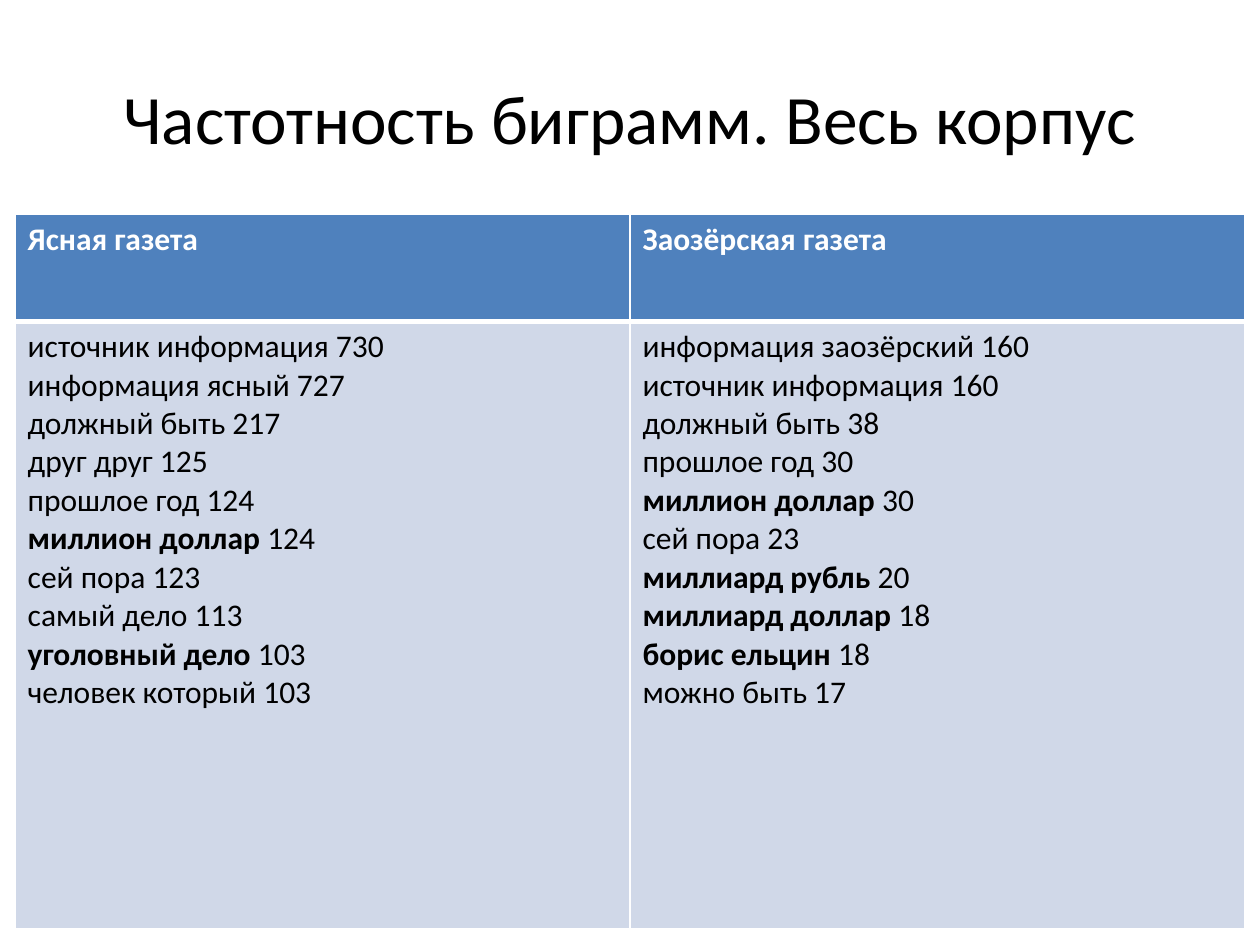
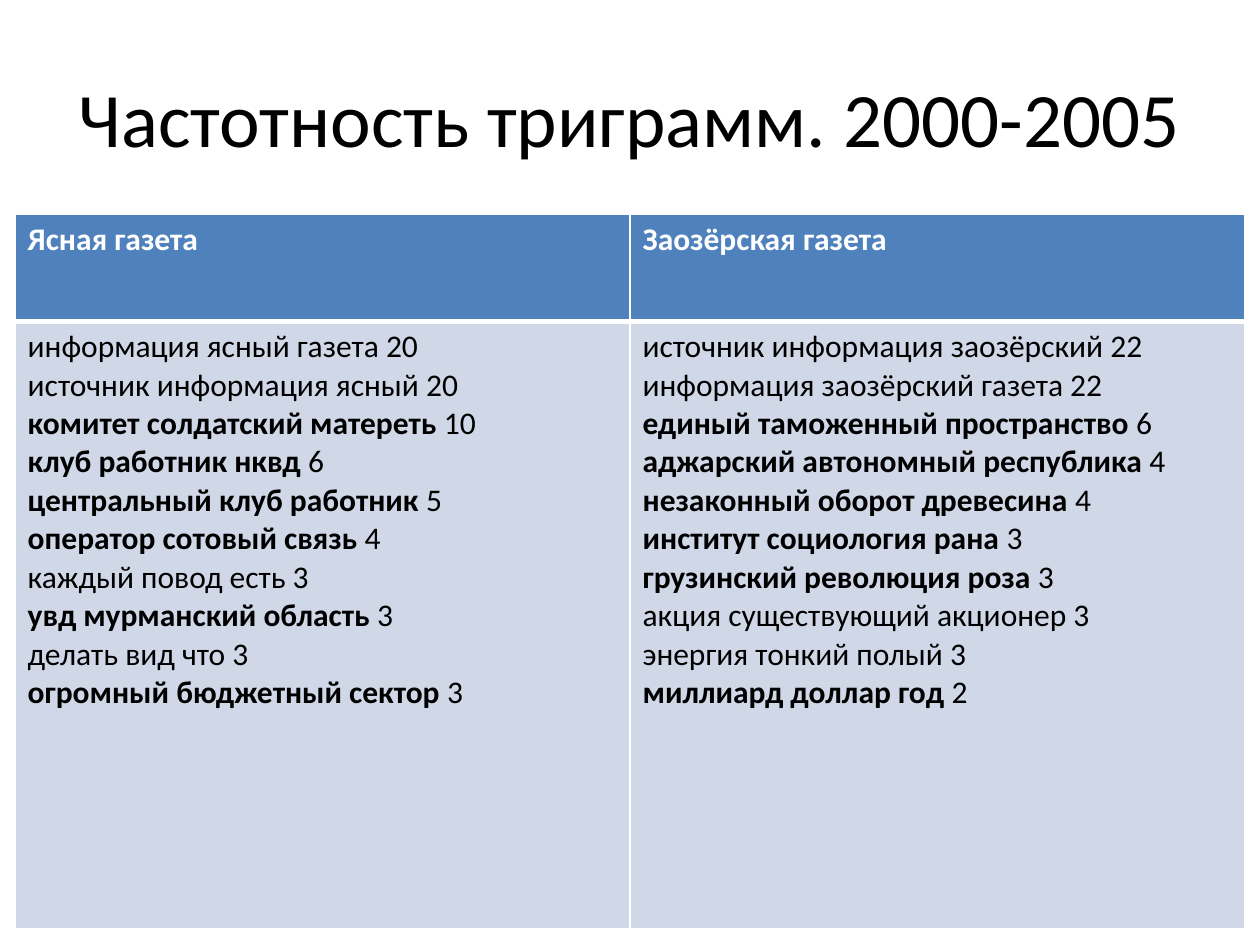
from dataclasses import dataclass

from lxml.etree import SubElement
from pptx import Presentation
from pptx.dml.color import RGBColor
from pptx.enum.text import MSO_ANCHOR, PP_ALIGN
from pptx.oxml.ns import qn
from pptx.util import Inches, Pt


@dataclass(frozen=True)
class Theme:
    font: str = "Calibri"
    ink: str = "000000"
    paper: str = "FFFFFF"
    header: str = "4F81BD"
    body: str = "D0D8E8"
    cell_size: float = 18
    rule: float = 1
    header_rule: float = 3


T = Theme()
HEADINGS = ["Ясная газета", "Заозёрская газета"]

# Each entry: phrase, count, and whether the phrase is emphasised.
SLIDES = [
    ("Частотность биграмм. Весь корпус", 39.6, [
        [("источник информация", 730, False),
         ("информация ясный", 727, False),
         ("должный быть", 217, False),
         ("друг друг", 125, False),
         ("прошлое год", 124, False),
         ("миллион доллар", 124, True),
         ("сей пора", 123, False),
         ("самый дело", 113, False),
         ("уголовный дело", 103, True),
         ("человек который", 103, False)],
        [("информация заозёрский", 160, False),
         ("источник информация", 160, False),
         ("должный быть", 38, False),
         ("прошлое год", 30, False),
         ("миллион доллар", 30, True),
         ("сей пора", 23, False),
         ("миллиард рубль", 20, True),
         ("миллиард доллар", 18, True),
         ("борис ельцин", 18, True),
         ("можно быть", 17, False)],
    ]),
    ("Частотность триграмм. 2000-2005", 44, [
        [("информация ясный газета", 20, False),
         ("источник информация ясный", 20, False),
         ("комитет солдатский матереть", 10, True),
         ("клуб работник нквд", 6, True),
         ("центральный клуб работник", 5, True),
         ("оператор сотовый связь", 4, True),
         ("каждый повод есть", 3, False),
         ("увд мурманский область", 3, True),
         ("делать вид что", 3, False),
         ("огромный бюджетный сектор", 3, True)],
        [("источник информация заозёрский", 22, False),
         ("информация заозёрский газета", 22, False),
         ("единый таможенный пространство", 6, True),
         ("аджарский автономный республика", 4, True),
         ("незаконный оборот древесина", 4, True),
         ("институт социология рана", 3, True),
         ("грузинский революция роза", 3, True),
         ("акция существующий акционер", 3, False),
         ("энергия тонкий полый", 3, False),
         ("миллиард доллар год", 2, True)],
    ]),
]


def add_run(p, text, size, color, bold=False):
    r = p.add_run()
    r.text = text
    r.font.name = T.font
    r.font.size = Pt(size)
    r.font.bold = bold
    r.font.color.rgb = RGBColor.from_string(color)


def style_cell(cell, fill, top, bottom):
    """Draw the four borders, then the fill, in the order the schema needs."""
    tc_pr = cell._tc.get_or_add_tcPr()
    for side, width in (("L", T.rule), ("R", T.rule), ("T", top), ("B", bottom)):
        ln = SubElement(tc_pr, qn(f"a:ln{side}"), w=str(Pt(width)))
        SubElement(SubElement(ln, qn("a:solidFill")), qn("a:srgbClr"), val=T.paper)
    cell.fill.solid()
    cell.fill.fore_color.rgb = RGBColor.from_string(fill)


prs = Presentation()
prs.slide_width, prs.slide_height = Inches(10), Inches(7.5)
W, H = prs.slide_width, prs.slide_height
TABLE_LEFT = Inches(0.12)
TABLE_TOP = Inches(1.7)
COL_W = (W - 2 * TABLE_LEFT) // len(HEADINGS)
ROW_H = [Inches(0.85), Inches(4.82)]

for title, title_size, columns in SLIDES:
    s = prs.slides.add_slide(prs.slide_layouts[6])

    sp = s.shapes.add_textbox(int(W * 0.05), int(H * 0.04), int(W * 0.9), Inches(1.25))
    tf = sp.text_frame
    tf.word_wrap = True
    tf.vertical_anchor = MSO_ANCHOR.MIDDLE
    p = tf.paragraphs[0]
    p.alignment = PP_ALIGN.CENTER
    add_run(p, title, title_size, T.ink)

    table = s.shapes.add_table(len(ROW_H), len(HEADINGS), TABLE_LEFT, TABLE_TOP,
                               COL_W * len(HEADINGS), sum(ROW_H)).table
    for row, height in zip(table.rows, ROW_H):
        row.height = height

    for c, (heading, entries) in enumerate(zip(HEADINGS, columns)):
        table.columns[c].width = COL_W
        head, body = table.cell(0, c), table.cell(1, c)
        style_cell(head, T.header, T.rule, T.header_rule)
        style_cell(body, T.body, T.header_rule, T.rule)
        add_run(head.text_frame.paragraphs[0], heading, T.cell_size, T.paper, True)
        tf = body.text_frame
        for i, (phrase, count, bold) in enumerate(entries):
            p = tf.add_paragraph() if i else tf.paragraphs[0]
            add_run(p, f"{phrase} ", T.cell_size, T.ink, bold)
            add_run(p, str(count), T.cell_size, T.ink)

prs.save("out.pptx")
